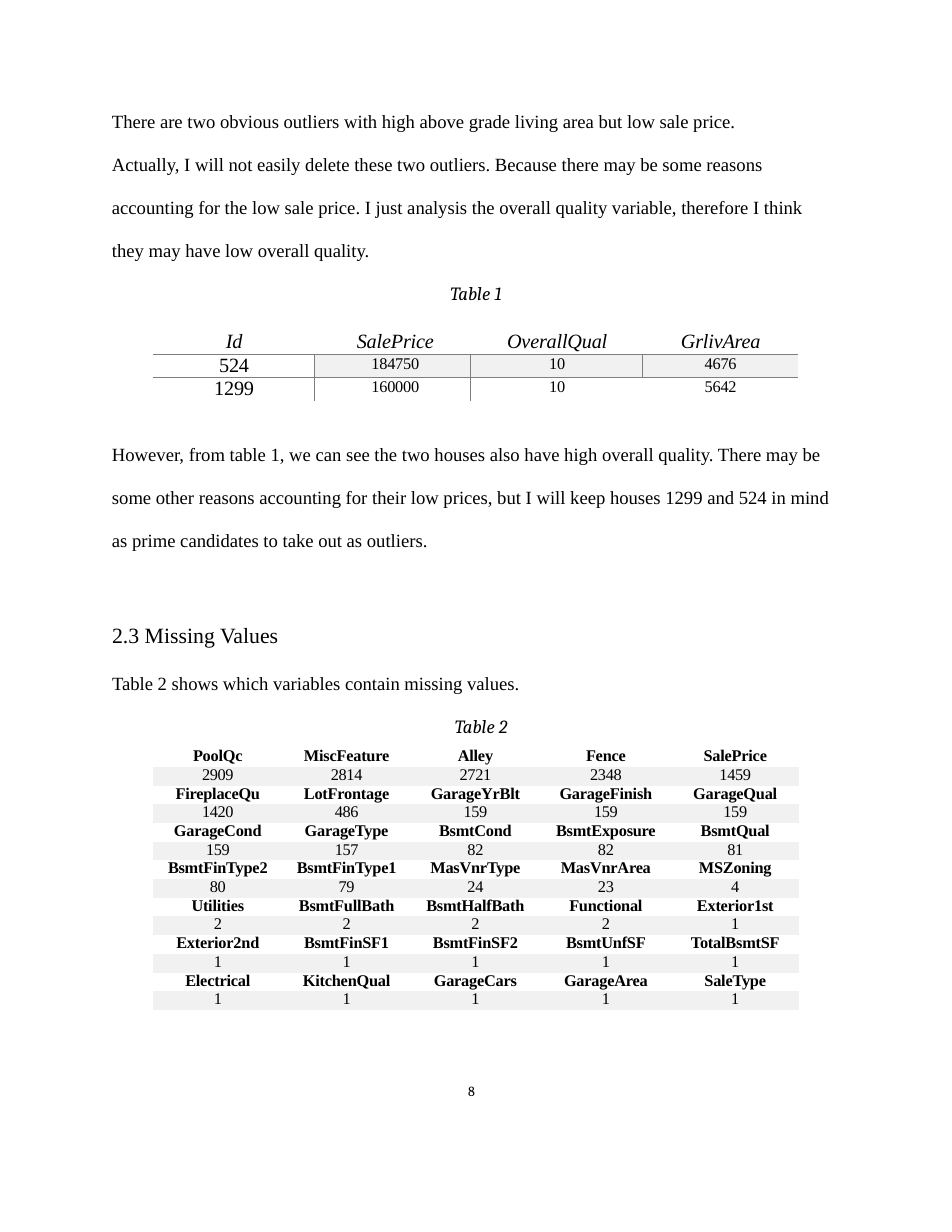
import pptx
import pptx.dml.color
import pptx.enum.text
import pptx.oxml.ns
import pptx.util
from lxml import etree

COLORS = {"text": "000000", "band": "F1F1F1", "rule": "7E7E7E"}
BODY_FONT = "Times New Roman"
CAPTION_FONT = "Cambria"
NO_GRID_STYLE = "{2D5ABB26-0587-4C30-8999-92F81FD0307C}"
ALIGN = pptx.enum.text.PP_ALIGN
Inches = pptx.util.Inches
Pt = pptx.util.Pt

MARGIN = 0.99
TABLE_LEFT, TABLE_WIDTH = 1.37, 5.76

OUTLIERS = [
    ["Id", "SalePrice", "OverallQual", "GrlivArea"],
    ["524", "184750", "10", "4676"],
    ["1299", "160000", "10", "5642"],
]
MISSING_VALUES = [
    "PoolQc 2909 MiscFeature 2814 Alley 2721 Fence 2348 SalePrice 1459",
    "FireplaceQu 1420 LotFrontage 486 GarageYrBlt 159 GarageFinish 159 GarageQual 159",
    "GarageCond 159 GarageType 157 BsmtCond 82 BsmtExposure 82 BsmtQual 81",
    "BsmtFinType2 80 BsmtFinType1 79 MasVnrType 24 MasVnrArea 23 MSZoning 4",
    "Utilities 2 BsmtFullBath 2 BsmtHalfBath 2 Functional 2 Exterior1st 1",
    "Exterior2nd 1 BsmtFinSF1 1 BsmtFinSF2 1 BsmtUnfSF 1 TotalBsmtSF 1",
    "Electrical 1 KitchenQual 1 GarageCars 1 GarageArea 1 SaleType 1",
]


def color(name):
    return pptx.dml.color.RGBColor.from_string(COLORS[name])


def format_runs(paragraph, size, font=BODY_FONT, bold=False, italic=False, spacing=0):
    for run in paragraph.runs:
        run.font.size = Pt(size)
        run.font.name = font
        run.font.bold = bold
        run.font.italic = italic
        run.font.color.rgb = color("text")
        if spacing:
            run.font._element.set("spc", str(round(spacing * 100)))


def set_indent(paragraph, left=0, right=0):
    properties = paragraph._p.get_or_add_pPr()
    properties.set("marL", str(Inches(left)))
    properties.set("marR", str(Inches(right)))
    properties.set("indent", "0")


def add_text(slide, left, top, width, height, paragraphs):
    frame = slide.shapes.add_textbox(
        Inches(left), Inches(top), Inches(width), Inches(height)).text_frame
    frame.word_wrap = True
    frame.margin_left = frame.margin_right = frame.margin_bottom = 0
    frame.margin_top = Inches(0.01)
    for number, (text, style) in enumerate(paragraphs):
        paragraph = frame.add_paragraph() if number else frame.paragraphs[0]
        paragraph.text = text
        paragraph.alignment = style.get("align", ALIGN.LEFT)
        paragraph.space_before = Pt(style.get("before", 0))
        paragraph.line_spacing = style.get("lines", 1.0)
        set_indent(paragraph, style.get("left", 0.01), style.get("right", 0))
        format_runs(paragraph, style.get("size", 12), style.get("font", BODY_FONT),
                    italic=style.get("italic", False))


def add_plain_table(slide, top, height, widths, row_count):
    frame = slide.shapes.add_table(
        row_count, len(widths), Inches(TABLE_LEFT), Inches(top),
        Inches(TABLE_WIDTH), Inches(height))
    table = frame.table
    table.first_row = table.horz_banding = False
    table._tbl.tblPr.find(pptx.oxml.ns.qn("a:tableStyleId")).text = NO_GRID_STYLE
    for column, width in zip(table.columns, widths):
        column.width = Inches(width)
    for row in table.rows:
        row.height = Inches(height / row_count)
    return table


def fill_cell(cell, text, line, banded=False, left=0, **font):
    cell.margin_left = cell.margin_right = cell.margin_top = cell.margin_bottom = 0
    if banded:
        cell.fill.solid()
        cell.fill.fore_color.rgb = color("band")
    else:
        cell.fill.background()
    paragraph = cell.text_frame.paragraphs[0]
    paragraph.text = text
    paragraph.alignment = ALIGN.CENTER
    paragraph.line_spacing = Pt(line)
    set_indent(paragraph, left)
    format_runs(paragraph, **font)


def add_borders(cell, sides):
    properties = cell._tc.get_or_add_tcPr()
    for position, side in enumerate(side for side in "LRTB" if side in sides):
        line = etree.Element(pptx.oxml.ns.qn("a:ln" + side), w=str(Pt(0.5)))
        fill = etree.SubElement(line, pptx.oxml.ns.qn("a:solidFill"))
        etree.SubElement(fill, pptx.oxml.ns.qn("a:srgbClr"), val=COLORS["rule"])
        properties.insert(position, line)


def add_outlier_table(slide):
    table = add_plain_table(slide, 2.96, 0.62, [1.44, 1.39, 1.54, 1.39], len(OUTLIERS))
    indents = [0, 0.05, 0.01, 0]
    borders = [["B"] * 4, ["TRB", "LTRB", "LTB", "TB"], ["TR", "LT", "T", "T"]]
    for row, values in enumerate(OUTLIERS):
        for column, value in enumerate(values):
            large = row == 0 or column == 0
            cell = table.cell(row, column)
            fill_cell(cell, value, 14 if large else 12, row == 1 and column > 0,
                      indents[column], size=13 if large else 10.5,
                      italic=row == 0, spacing=-0.1)
            add_borders(cell, borders[row][column])


def add_missing_table(slide):
    table = add_plain_table(slide, 6.68, 2.34, [1.15, 1.15, 1.15, 1.18, 1.13],
                            2 * len(MISSING_VALUES))
    for group, line in enumerate(MISSING_VALUES):
        for number, value in enumerate(line.split()):
            column, is_count = divmod(number, 2)
            fill_cell(table.cell(2 * group + is_count, column), value, 11,
                      bool(is_count), size=10.5, bold=not is_count,
                      spacing=-0.2 if is_count else -0.1)


def main():
    presentation = pptx.Presentation()
    presentation.slide_width, presentation.slide_height = Inches(8.5), Inches(11)
    slide = presentation.slides.add_slide(presentation.slide_layouts[6])
    first = {"before": 1}
    spaced = {"lines": 1.92}
    caption = {"font": CAPTION_FONT, "italic": True, "before": 13.4}

    add_text(slide, 4.14, 9.66, 0.24, 0.17, [
        ("8", {"size": 9, "font": CAPTION_FONT, "before": 0.6, "left": 0.04})])
    add_text(slide, MARGIN, 0.97, 6.2, 1.77, [
        ("There are two obvious outliers with high above grade living area "
         "but low sale price.", first),
        ("Actually, I will not easily delete these two outliers. Because there may be "
         "some reasons accounting for the low sale price. I just analysis the overall "
         "quality variable, therefore I think they may have low overall quality.", spaced),
        ("Table 1", {**caption, "align": ALIGN.CENTER, "left": 0.32})])
    add_text(slide, MARGIN, 3.94, 6.44, 0.99, [
        ("However, from table 1, we can see the two houses also have high overall "
         "quality. There may be", first),
        ("some other reasons accounting for their low prices, but I will keep houses "
         "1299 and 524 in mind as prime candidates to take out as outliers.", spaced)])
    add_text(slide, MARGIN, 5.54, 3.68, 1.07, [
        ("2.3 Missing Values", {"size": 14, "before": 1.1}),
        ("Table 2 shows which variables contain missing values.", {"before": 15.6}),
        ("Table 2", {**caption, "align": ALIGN.RIGHT, "left": 0, "right": 0.14})])
    add_missing_table(slide)
    add_outlier_table(slide)
    presentation.save("out.pptx")


if __name__ == "__main__":
    main()
